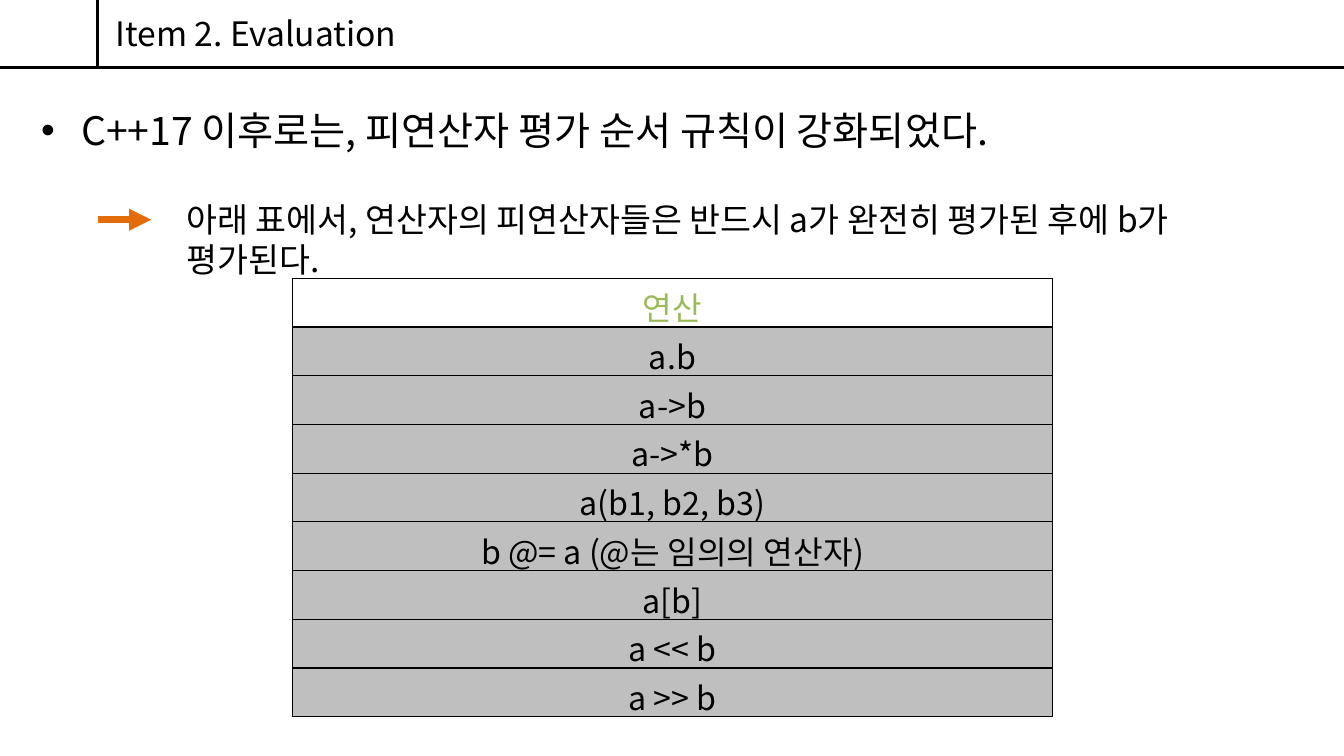
from lxml import etree
from pptx import Presentation
from pptx.dml.color import RGBColor
from pptx.enum import shapes, text
from pptx.oxml import ns
from pptx.util import Inches, Pt

FONT = "Noto Sans CJK KR"
BLACK = RGBColor(0x00, 0x00, 0x00)
WHITE = RGBColor(0xFF, 0xFF, 0xFF)
ORANGE = RGBColor(0xE4, 0x6C, 0x0A)
GREEN = RGBColor(0x9B, 0xBB, 0x59)
GRAY = RGBColor(0xBF, 0xBF, 0xBF)

OPERATIONS = ["a.b", "a->b", "a->*b", "a(b1, b2, b3)", "b @= a (@는 임의의 연산자)",
              "a[b]", "a << b", "a >> b"]


def write(frame, words, size=24, color=BLACK, align=text.PP_ALIGN.LEFT, bullet=None):
    """Put one formatted paragraph into a text frame."""
    frame.word_wrap = True
    paragraph = frame.paragraphs[0]
    paragraph.alignment = align
    if bullet:
        properties = paragraph._p.get_or_add_pPr()
        properties.set("marL", str(Inches(0.31)))
        properties.set("indent", str(-Inches(0.31)))
        etree.SubElement(properties, ns.qn("a:buFont"), typeface="Arial")
        etree.SubElement(properties, ns.qn("a:buChar"), char=bullet)
    run = paragraph.add_run()
    run.text = words
    run.font.size = Pt(size)
    run.font.color.rgb = color
    run.font.name = FONT
    etree.SubElement(run._r.get_or_add_rPr(), ns.qn("a:ea"), typeface=FONT)


def add_line(slide, start, end, color=BLACK, width=2, arrow=False):
    """Draw a straight line, with an arrowhead at its end on request."""
    line = slide.shapes.add_connector(
        shapes.MSO_CONNECTOR.STRAIGHT, *map(Inches, start + end))
    line.line.color.rgb = color
    line.line.width = Pt(width)
    if arrow:
        etree.SubElement(line.line._get_or_add_ln(), ns.qn("a:tailEnd"), type="triangle")
    etree.SubElement(line._element.spPr, ns.qn("a:effectLst"))


def add_words(slide, box, words, **style):
    """Add a text box holding one paragraph."""
    frame = slide.shapes.add_textbox(*map(Inches, box)).text_frame
    write(frame, words, **style)


def add_header(slide, left, top, width, height):
    """Rule off the header band and place the title in it."""
    divider = left + 0.97
    add_line(slide, (left, top + height), (left + width, top + height))
    add_line(slide, (divider, top + height), (divider, top))
    title = slide.shapes.title
    title.left, title.top = Inches(divider), Inches(top + 0.08)
    title.width, title.height = Inches(left + width - divider), Inches(0.5)
    title.text_frame.vertical_anchor = text.MSO_ANCHOR.TOP
    title.text_frame.auto_size = text.MSO_AUTO_SIZE.SHAPE_TO_FIT_TEXT
    write(title.text_frame, " Item 2. Evaluation")


def add_rule(slide, left, top, width):
    """State the rule and, beside an arrow, what it means."""
    add_words(slide, (left, top, width, 0.57),
              " C++17 이후로는, 피연산자 평가 순서 규칙이 강화되었다.", size=28, bullet="•")
    arrow_left, arrow_top = left + 0.66, top + 1.17
    add_line(slide, (arrow_left, arrow_top), (arrow_left + 0.53, arrow_top),
             color=ORANGE, width=5.25, arrow=True)
    add_words(slide, (left + 1.44, top + 0.91, 11, 0.5),
              "아래 표에서, 연산자의 피연산자들은 반드시 a가 완전히 평가된 후에 b가 평가된다.")


def add_border(cell):
    """Draw a thin black border on all sides of a cell."""
    properties = cell._tc.get_or_add_tcPr()
    for position, side in enumerate(("a:lnL", "a:lnR", "a:lnT", "a:lnB")):
        edge = etree.Element(ns.qn(side), w=str(Pt(1)))
        fill = etree.SubElement(edge, ns.qn("a:solidFill"))
        etree.SubElement(fill, ns.qn("a:srgbClr"), val=str(BLACK))
        properties.insert(position, edge)


def add_operations(slide, left, top, width, height):
    """List the operations under a heading in a one-column table."""
    rows = [("연산", GREEN, WHITE)] + [(name, BLACK, GRAY) for name in OPERATIONS]
    table = slide.shapes.add_table(
        len(rows), 1, *map(Inches, (left, top, width, height))).table
    table.first_row = table.horz_banding = False
    for index, (words, color, fill) in enumerate(rows):
        cell = table.cell(index, 0)
        cell.margin_left = cell.margin_right = Inches(0.09)
        cell.margin_top = cell.margin_bottom = Inches(0.05)
        cell.fill.solid()
        cell.fill.fore_color.rgb = fill
        add_border(cell)
        write(cell.text_frame, words, size=23, color=color, align=text.PP_ALIGN.CENTER)


def main():
    """Build the slide and save it."""
    deck = Presentation()
    deck.slide_width, deck.slide_height = Inches(13.33), Inches(7.5)
    slide = deck.slides.add_slide(deck.slide_layouts[5])
    add_header(slide, 0, 0, 13.33, 0.67)
    add_rule(slide, 0.31, 1.01, 11.58)
    add_operations(slide, 2.9, 2.76, 7.54, 4.3)
    deck.save("out.pptx")


if __name__ == "__main__":
    main()
